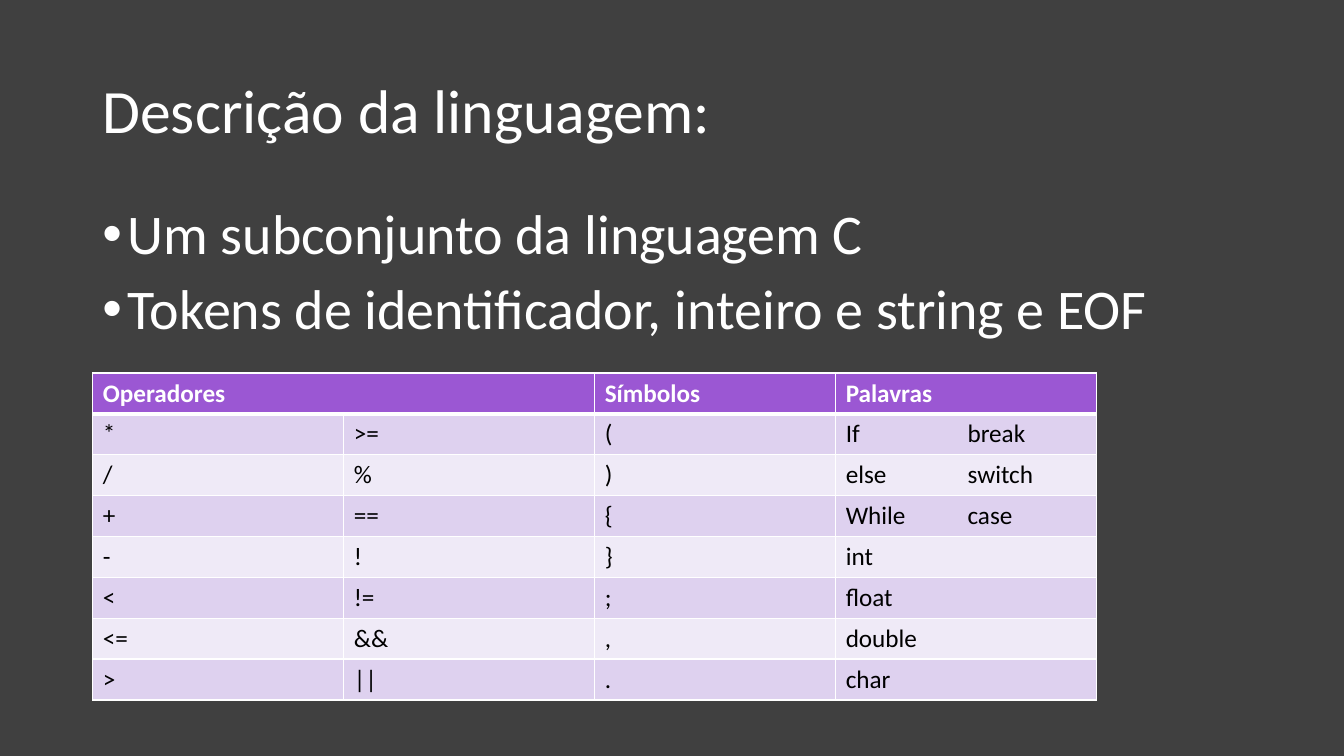
"""Build the language description slide with its token table."""
from lxml.etree import SubElement
from pptx import Presentation
from pptx.dml.color import RGBColor
from pptx.enum.text import MSO_ANCHOR, MSO_AUTO_SIZE, PP_ALIGN
from pptx.oxml import parse_xml
from pptx.oxml.ns import nsdecls, qn
from pptx.util import Pt

HUES = {
    "back": "404040",
    "white": "FFFFFF",
    "black": "000000",
    "head": "9B57D3",
    "dark": "DED1EF",
    "light": "EFEAF7",
}
ROWS = [
    ("Operadores", "", "Símbolos", "Palavras"),
    ("*", ">=", "(", "If\tbreak"),
    ("/", "%", ")", "else\tswitch"),
    ("+", "==", "{", "While\tcase"),
    ("-", "!", "}", "int"),
    ("<", "!=", ";", "float"),
    ("<=", "&&", ",", "double"),
    (">", "||", ".", "char"),
]
WIDTHS = [179.3, 179.3, 172.1, 186.5]
HIGH = 29.2


def style(font, hue, **form):
    for key, val in {"name": "Calibri", **form}.items():
        setattr(font, key, val)
    font.color.rgb = RGBColor.from_string(HUES[hue])


def edge(cell, sides):
    props = cell._tc.get_or_add_tcPr()
    for side, width in sides.items():
        props.append(parse_xml(
            f'<a:ln{side} {nsdecls("a")} w="{Pt(width)}"><a:solidFill>'
            f'<a:srgbClr val="{HUES["white"]}"/></a:solidFill></a:ln{side}>'))


deck = Presentation()
deck.slide_width, deck.slide_height = Pt(960), Pt(540)
slide = deck.slides.add_slide(deck.slide_layouts[1])
slide.background.fill.solid()
slide.background.fill.fore_color.rgb = RGBColor.from_string(HUES["back"])

title, body = slide.placeholders
texts = [
    (title, "Descrição da linguagem:", 28.8, 104.4, 44, MSO_ANCHOR.MIDDLE, 0),
    (body, "Um subconjunto da linguagem C\n"
           "Tokens de identificador, inteiro e string e EOF",
     143.75, 342.6, 40, MSO_ANCHOR.TOP, 10),
]
for box, words, top, high, size, anchor, gap in texts:
    place = {"left": Pt(66), "top": Pt(top), "width": Pt(828), "height": Pt(high)}
    for key, val in place.items():
        setattr(box, key, val)
    frame = box.text_frame
    frame.text = words
    form = {"word_wrap": True, "auto_size": MSO_AUTO_SIZE.NONE,
            "vertical_anchor": anchor}
    for key, val in form.items():
        setattr(frame, key, val)
    for para in frame.paragraphs:
        form = {"alignment": PP_ALIGN.LEFT, "line_spacing": 0.9,
                "space_before": Pt(gap)}
        for key, val in form.items():
            setattr(para, key, val)
        style(para.runs[0].font, "white", size=Pt(size))

for para in body.text_frame.paragraphs:
    props = para._p.get_or_add_pPr()
    props.set("marL", str(Pt(18)))
    props.set("indent", str(-Pt(18)))
    SubElement(props, qn("a:buFont"), typeface="Arial")
    SubElement(props, qn("a:buChar"), char="•")

table = slide.shapes.add_table(
    len(ROWS), len(WIDTHS), Pt(66.25), Pt(266.4),
    Pt(sum(WIDTHS)), Pt(HIGH * len(ROWS))).table
for col, width in zip(table.columns, WIDTHS):
    col.width = Pt(width)
for i, row in enumerate(ROWS):
    table.rows[i].height = Pt(HIGH)
    head = i == 0
    fill = "head" if head else "dark" if i % 2 else "light"
    for j, word in enumerate(row):
        cell = table.cell(i, j)
        edge(cell, {"L": 1, "R": 1, "T": 3 if i == 1 else 1, "B": 3 if head else 1})
        cell.fill.solid()
        cell.fill.fore_color.rgb = RGBColor.from_string(HUES[fill])
        cell.text = word
        para = cell.text_frame.paragraphs[0]
        style(para.font, "white" if head else "black", size=Pt(18), bold=head)
        for run in para.runs:
            style(run.font, "white" if head else "black", size=Pt(18), bold=head)
        if "\t" in word:
            tabs = parse_xml(f'<a:tabLst {nsdecls("a")}>'
                             f'<a:tab pos="{Pt(87)}" algn="l"/></a:tabLst>')
            para._p.get_or_add_pPr().insert(0, tabs)
table.cell(0, 0).merge(table.cell(0, 1))

deck.save("out.pptx")
